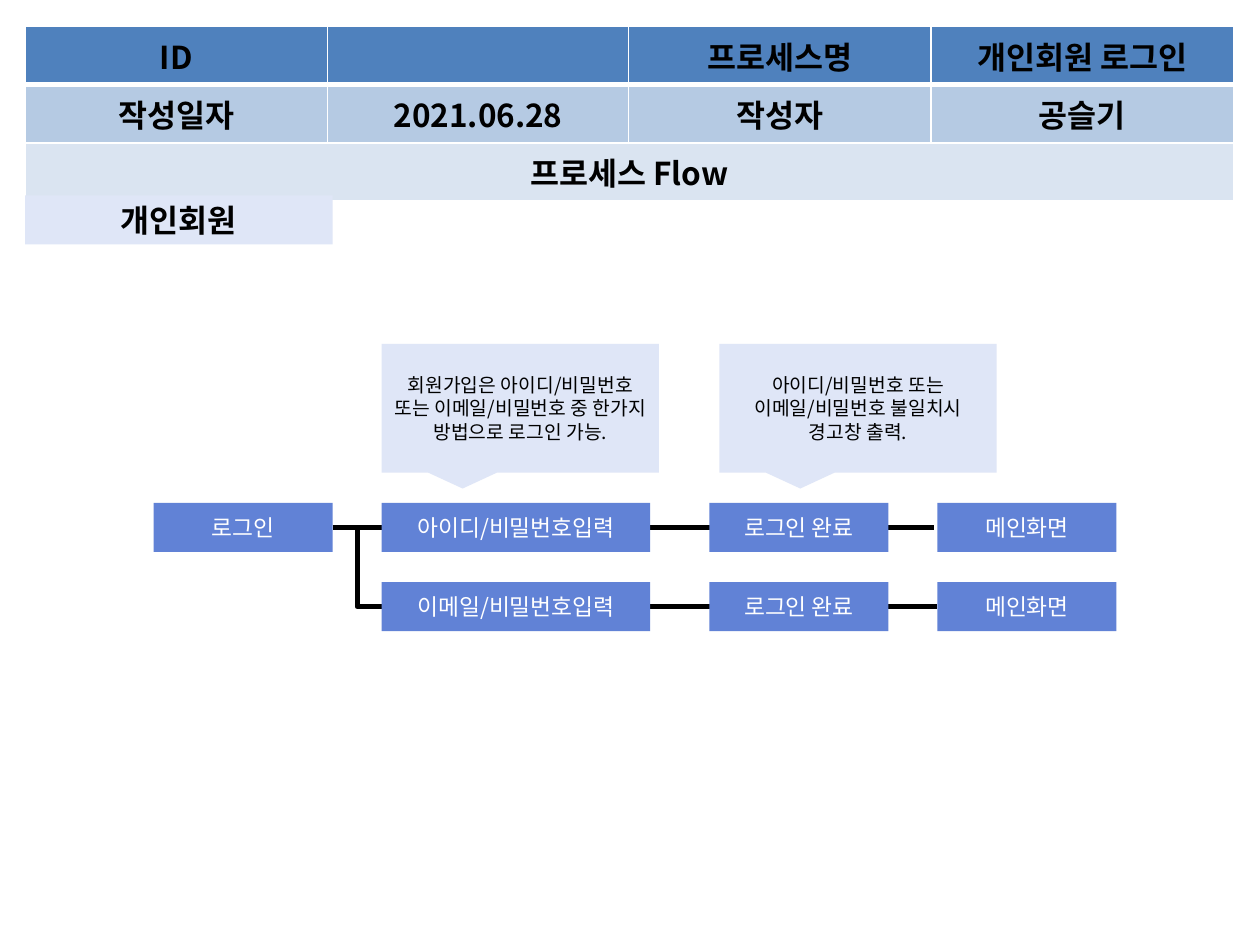
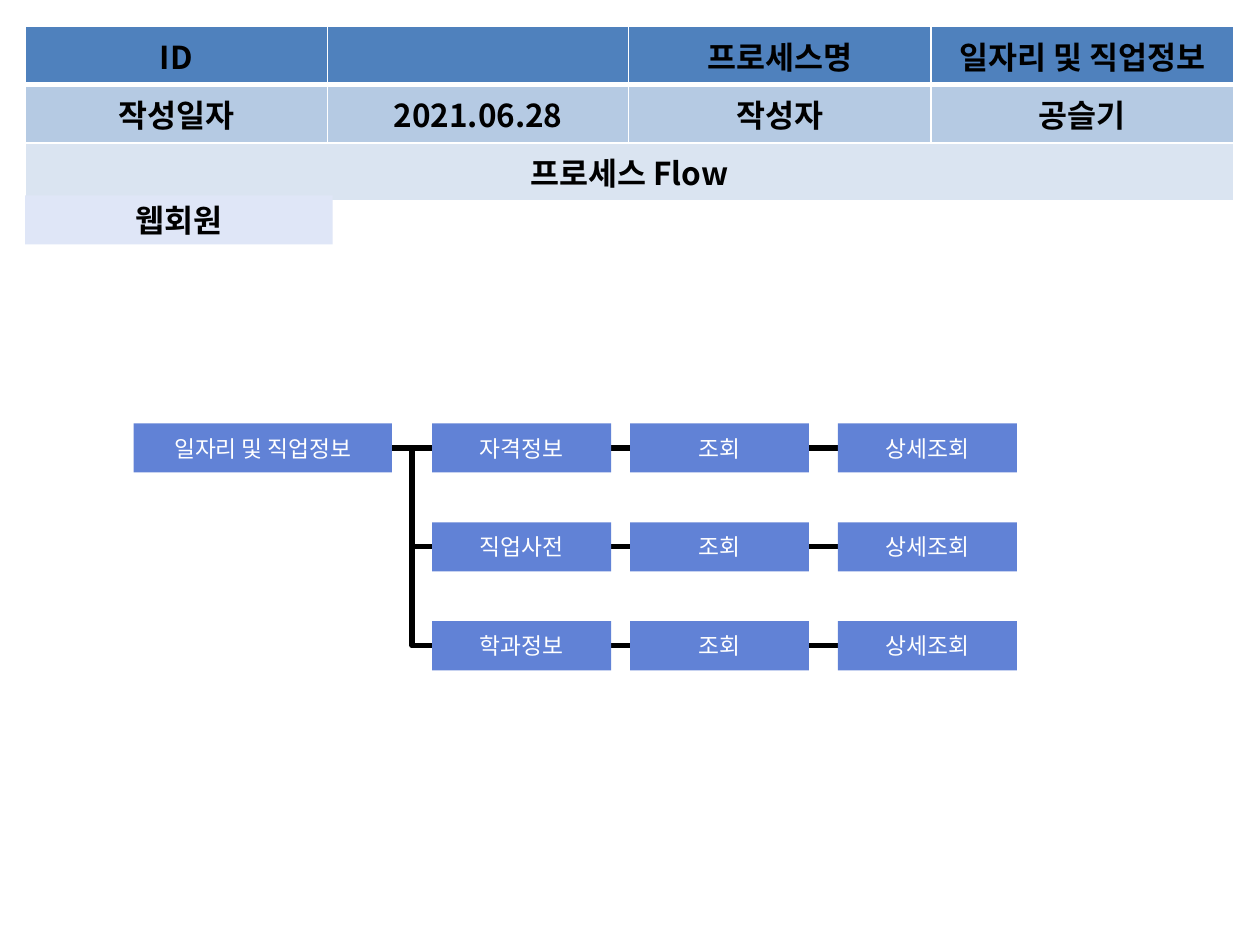
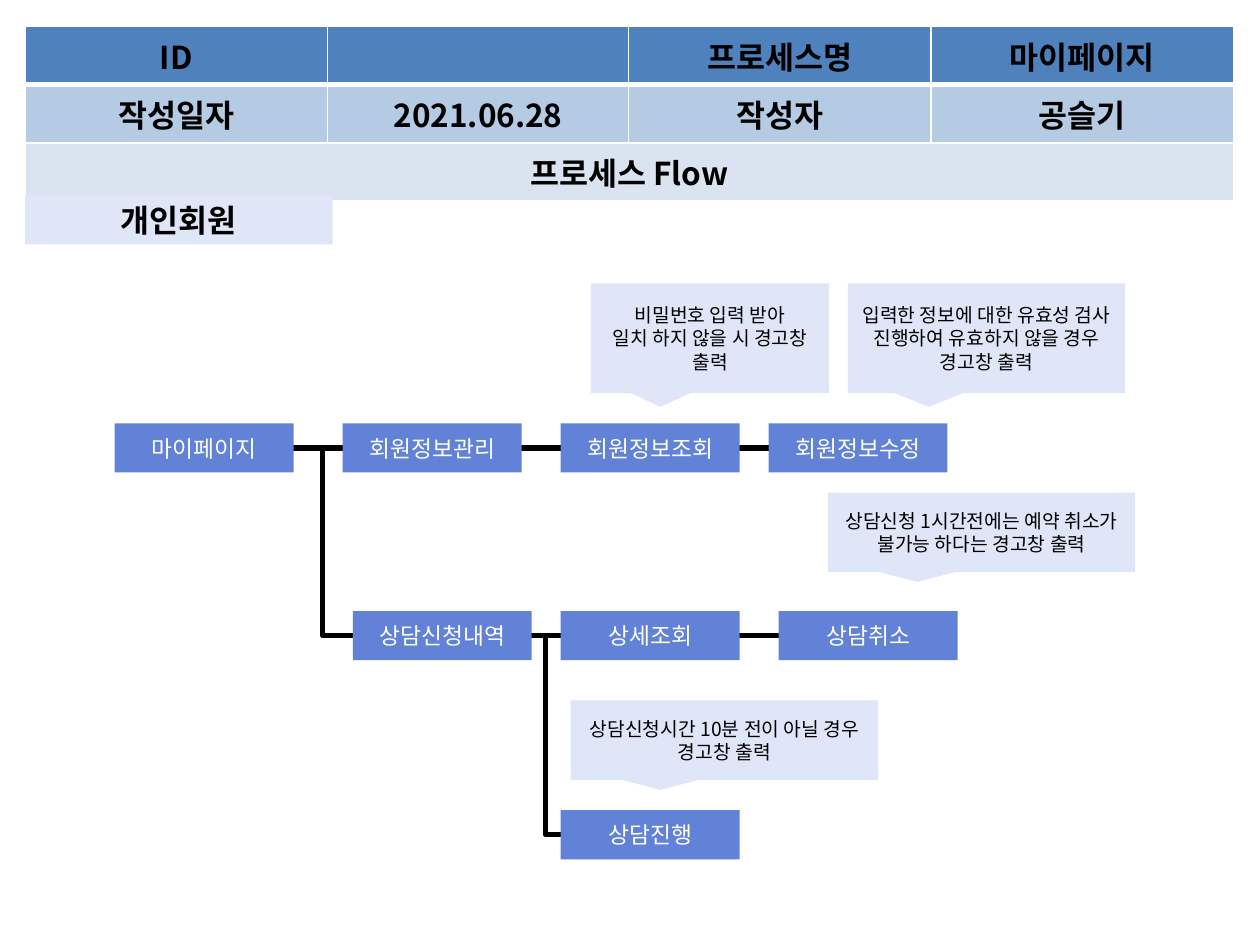
"""Build three process-flow slides with a shared header table and flow diagrams."""
from dataclasses import dataclass

from lxml.etree import SubElement
from pptx import Presentation
from pptx.dml.color import RGBColor
from pptx.enum.shapes import MSO_CONNECTOR, MSO_SHAPE
from pptx.enum.text import MSO_ANCHOR, MSO_AUTO_SIZE, PP_ALIGN
from pptx.oxml.ns import qn
from pptx.slide import Slide
from pptx.table import _Cell
from pptx.text.text import TextFrame
from pptx.util import Inches, Pt

FONT = "Noto Sans CJK KR"
COLORS = {
    "header": "4F81BD",
    "author": "B5CAE3",
    "flow": "DAE4F1",
    "note": "DFE6F7",
    "step": "6182D6",
    "ink": "000000",
    "white": "FFFFFF",
}
HEADING = {"size": Pt(18), "bold": True, "name": FONT}
STEP_TEXT = {"size": Pt(13), "bold": False, "name": FONT}
NOTE_TEXT = {"size": Pt(11), "bold": False, "name": FONT}
FRAME = {
    "word_wrap": True,
    "auto_size": MSO_AUTO_SIZE.NONE,
    "vertical_anchor": MSO_ANCHOR.MIDDLE,
}
COLUMN_WIDTHS = (1.02, 1.38, 2.39, 2.4, 2.4)
ROW_HEIGHT = 0.41
STEP_WIDTH = 1.42
STEP_HEIGHT = 0.39


@dataclass(frozen=True)
class Step:
    label: str
    left: float
    top: float
    width: float = STEP_WIDTH


@dataclass(frozen=True)
class Note:
    lines: tuple[str, ...]
    left: float
    top: float
    width: float
    height: float


@dataclass(frozen=True)
class Link:
    """A line between the middles of two step rows, given by their tops."""

    start: float
    start_row: float
    end: float
    end_row: float


@dataclass(frozen=True)
class Process:
    name: str
    member: str
    steps: list[Step]
    notes: list[Note]
    links: list[Link]


def color(key: str) -> RGBColor:
    return RGBColor.from_string(COLORS[key])


def write(frame: TextFrame, lines: tuple[str, ...], style: dict, ink: str) -> None:
    """Write centred paragraphs in one style."""
    frame.text = "\n".join(lines)
    for paragraph in frame.paragraphs:
        paragraph.alignment = PP_ALIGN.CENTER
        for run in paragraph.runs:
            for attribute, value in style.items():
                setattr(run.font, attribute, value)
            run.font.color.rgb = color(ink)
            SubElement(run._r.get_or_add_rPr(), qn("a:ea"), typeface=FONT)


def format_frame(frame: TextFrame) -> None:
    for attribute, value in FRAME.items():
        setattr(frame, attribute, value)


def paint_cell(cell: _Cell, fill: str, bottom: float) -> None:
    """Give a cell white borders and a solid fill."""
    properties = cell._tc.get_or_add_tcPr()
    for side, points in {"L": 1, "R": 1, "T": 1, "B": bottom}.items():
        border = SubElement(properties, qn(f"a:ln{side}"), w=str(Pt(points)))
        SubElement(SubElement(border, qn("a:solidFill")), qn("a:srgbClr"), val=COLORS["white"])
    cell.fill.solid()
    cell.fill.fore_color.rgb = color(fill)


def draw_header(slide: Slide, process: Process) -> None:
    """Draw the table with the process data."""
    rows = {
        "header": ("ID", "", "", "프로세스명", process.name),
        "author": ("작성일자", "", "2021.06.28", "작성자", "공슬기"),
        "flow": ("프로세스 Flow", "", "", "", ""),
    }
    table = slide.shapes.add_table(
        len(rows), len(COLUMN_WIDTHS), Inches(0.2), Inches(0.21),
        Inches(sum(COLUMN_WIDTHS)), Inches(ROW_HEIGHT * len(rows)),
    ).table
    table.first_row = table.horz_banding = False
    for column, width in zip(table.columns, COLUMN_WIDTHS):
        column.width = Inches(width)
    for index, (fill, labels) in enumerate(rows.items()):
        table.rows[index].height = Inches(ROW_HEIGHT)
        for cell, label in zip(table.rows[index].cells, labels):
            paint_cell(cell, fill, 3 if fill == "header" else 1)
            if label:
                write(cell.text_frame, (label,), HEADING, "ink")
        last_merged = 4 if fill == "flow" else 1
        table.cell(index, 0).merge(table.cell(index, last_merged))


def draw_member(slide: Slide, member: str) -> None:
    """Place the title as a member tag in front of the table."""
    title = slide.shapes.title
    place = {"left": 0.2, "top": 1.55, "width": 2.44, "height": STEP_HEIGHT}
    for attribute, value in place.items():
        setattr(title, attribute, Inches(value))
    title.fill.solid()
    title.fill.fore_color.rgb = color("note")
    format_frame(title.text_frame)
    write(title.text_frame, (member,), HEADING, "ink")
    title.element.getparent().append(title.element)


def draw_box(slide: Slide, kind: MSO_SHAPE, place: tuple[float, ...], fill: str,
             lines: tuple[str, ...], style: dict, ink: str) -> None:
    """Draw a flat filled shape with text."""
    box = slide.shapes.add_shape(kind, *map(Inches, place))
    box.shadow.inherit = False
    box.fill.solid()
    box.fill.fore_color.rgb = color(fill)
    box.line.fill.background()
    if kind == MSO_SHAPE.RECTANGULAR_CALLOUT:
        box.adjustments[0], box.adjustments[1] = -0.208, 0.625
    format_frame(box.text_frame)
    write(box.text_frame, lines, style, ink)


def draw_step(slide: Slide, step: Step) -> None:
    place = (step.left, step.top, step.width, STEP_HEIGHT)
    draw_box(slide, MSO_SHAPE.RECTANGLE, place, "step", (step.label,), STEP_TEXT, "white")


def draw_note(slide: Slide, note: Note) -> None:
    place = (note.left, note.top, note.width, note.height)
    draw_box(slide, MSO_SHAPE.RECTANGULAR_CALLOUT, place, "note", note.lines, NOTE_TEXT, "ink")


def draw_link(slide: Slide, link: Link) -> None:
    """Draw a straight line within a row or an elbow between rows."""
    straight = link.start_row == link.end_row
    middle = STEP_HEIGHT / 2
    connector = slide.shapes.add_connector(
        MSO_CONNECTOR.STRAIGHT if straight else MSO_CONNECTOR.ELBOW,
        Inches(link.start), Inches(link.start_row + middle),
        Inches(link.end), Inches(link.end_row + middle),
    )
    connector.line.width = Pt(3)
    connector.line.color.rgb = color("ink")
    SubElement(connector.element.spPr, qn("a:effectLst"))


def login_process() -> Process:
    first, second = 3.99, 4.62
    steps = [Step("로그인", 1.22, first)]
    for label, top in (("아이디", first), ("이메일", second)):
        steps += [
            Step(f"{label}/비밀번호입력", 3.03, top, 2.13),
            Step("로그인 완료", 5.63, top),
            Step("메인화면", 7.44, top),
        ]
    notes = [
        Note(("회원가입은 아이디/비밀번호 또는 이메일/비밀번호 중 한가지 방법으로 로그인 가능.",),
             3.03, 2.73, 2.2, 1.02),
        Note(("아이디/비밀번호 또는", "이메일/비밀번호 불일치시", "경고창 출력."),
             5.71, 2.73, 2.2, 1.02),
    ]
    links = [
        Link(3.03, second, 7.44, second),
        Link(2.64, first, 7.41, first),
        Link(2.64, first, 3.03, second),
    ]
    return Process("개인회원 로그인", "개인회원", steps, notes, links)


def job_process() -> Process:
    name = "일자리 및 직업정보"
    first, pitch = 3.36, 0.785
    steps = [Step(name, 1.06, first, 2.05)]
    links = [Link(3.11, first, 6.65, first)]
    for index, topic in enumerate(("자격정보", "직업사전", "학과정보")):
        top = first + index * pitch
        steps += [Step(topic, 3.43, top), Step("조회", 5, top), Step("상세조회", 6.65, top)]
        if index:
            links += [Link(4.84, top, 6.65, top), Link(3.11, first, 3.43, top)]
    return Process(name, "웹회원", steps, [], links)


def my_page_process() -> Process:
    account, request, session = 3.36, 4.85, 6.43
    steps = [
        Step("마이페이지", 0.91, account),
        Step("회원정보관리", 2.72, account),
        Step("회원정보조회", 4.45, account),
        Step("회원정보수정", 6.1, account),
        Step("상담신청내역", 2.8, request),
        Step("상세조회", 4.45, request),
        Step("상담취소", 6.18, request),
        Step("상담진행", 4.45, session),
    ]
    notes = [
        Note(("비밀번호 입력 받아", "일치 하지 않을 시 경고창 출력"), 4.69, 2.25, 1.89, 0.87),
        Note(("입력한 정보에 대한 유효성 검사 진행하여 유효하지 않을 경우 경고창 출력",),
             6.73, 2.25, 2.2, 0.87),
        Note(("상담신청 1시간전에는 예약 취소가 불가능 하다는 경고창 출력",),
             6.57, 3.91, 2.44, 0.63),
        Note(("상담신청시간 10분 전이 아닐 경우 경고창 출력",), 4.53, 5.56, 2.44, 0.63),
    ]
    links = [
        Link(2.32, account, 6.1, account),
        Link(4.21, request, 6.18, request),
        Link(2.32, account, 2.8, request),
        Link(4.21, request, 4.45, session),
    ]
    return Process("마이페이지", "개인회원", steps, notes, links)


def main() -> None:
    deck = Presentation()
    deck.slide_width, deck.slide_height = Inches(10), Inches(7.5)
    title_only = deck.slide_layouts[5]
    for process in (login_process(), job_process(), my_page_process()):
        slide = deck.slides.add_slide(title_only)
        for link in process.links:
            draw_link(slide, link)
        draw_header(slide, process)
        draw_member(slide, process.member)
        for step in process.steps:
            draw_step(slide, step)
        for note in process.notes:
            draw_note(slide, note)
    deck.save("out.pptx")


main()
